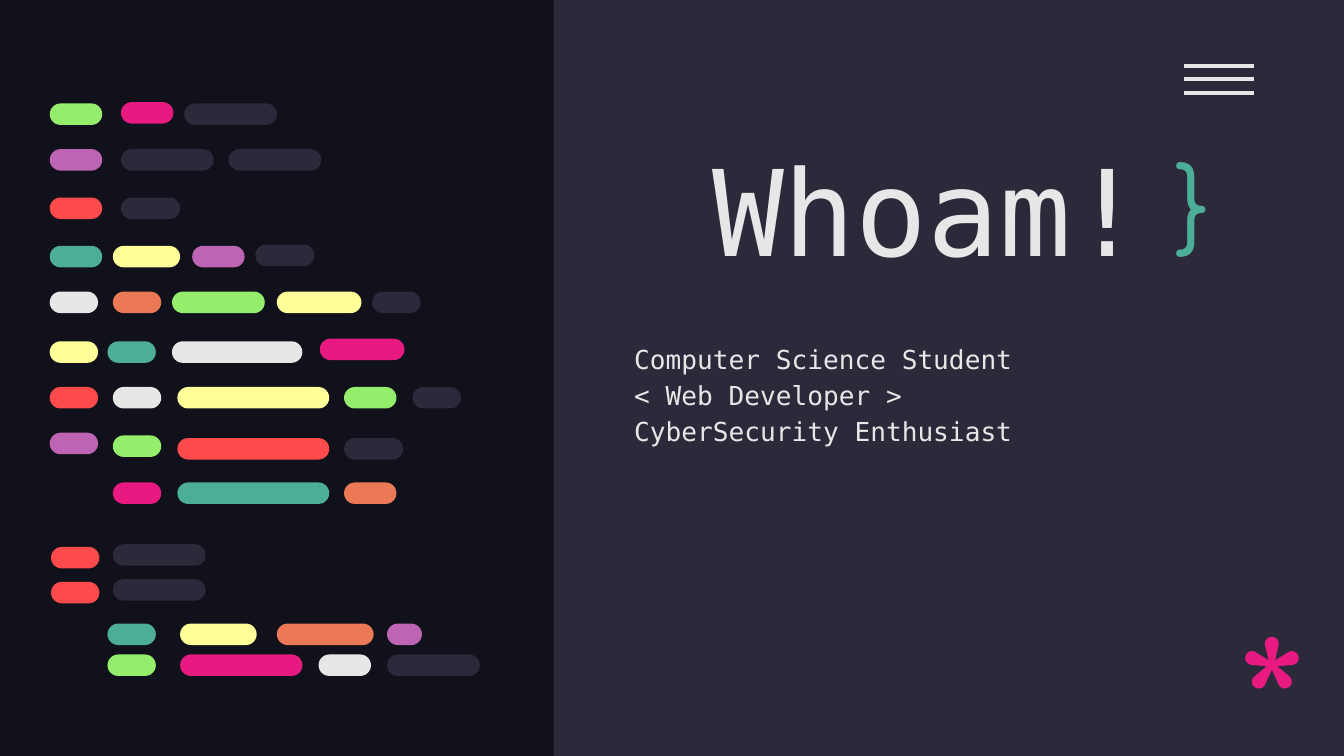
"""Build a code-editor themed title slide."""
from pptx import Presentation
from pptx.dml.color import RGBColor
from pptx.enum.shapes import MSO_CONNECTOR as CONN, MSO_SHAPE as SHAPE
from pptx.enum.text import MSO_ANCHOR as ANCHOR
from pptx.oxml.ns import qn
from pptx.util import Inches, Pt
from lxml.etree import SubElement

PANEL, WHITE, GREEN, PINK = "2C293A", "E7E7E7", "94EE6B", "E81A81"
PURPLE, RED, TEAL, YELLOW, ORANGE = "BD64B5", "FD4A4A", "4CAE97", "FFFF99", "EC7955"
MONO, ROUND = "DejaVu Sans Mono", "Comfortaa"


def rgb(color):
    return RGBColor.from_string(color)


def add_text(text, x, y, w, h, size, font, color=WHITE, anchor=ANCHOR.TOP, spacing=None, fill=None):
    sp = s.shapes.add_textbox(Inches(x), Inches(y), Inches(w), Inches(h))
    if fill:
        sp.fill.solid()
        sp.fill.fore_color.rgb = rgb(fill)
    tf = sp.text_frame
    tf.word_wrap = True
    tf.vertical_anchor = anchor
    tf.margin_left = tf.margin_right = tf.margin_top = tf.margin_bottom = Inches(0.1)
    for i, line in enumerate(text.split("\n")):
        p = tf.add_paragraph() if i else tf.paragraphs[0]
        if spacing:
            p.line_spacing = spacing
        r = p.add_run()
        r.text = line
        r.font.size = Pt(size)
        r.font.name = font
        r.font.color.rgb = rgb(color)


prs = Presentation()
prs.slide_width = Inches(10)
prs.slide_height = Inches(10 * 9 / 16)
s = prs.slides.add_slide(prs.slide_layouts[6])
s.background.fill.solid()
s.background.fill.fore_color.rgb = rgb("10111A")

panel = s.shapes.add_shape(SHAPE.RECTANGLE, Inches(4.12), 0, Inches(5.88), prs.slide_height)
panel.shadow.inherit = False
panel.fill.solid()
panel.fill.fore_color.rgb = rgb(PANEL)
panel.line.fill.background()

menu = s.shapes.add_group_shape()
for i in range(3):
    y = Inches(0.49 + 0.1 * i)
    bar = menu.shapes.add_connector(CONN.STRAIGHT, Inches(8.81), y, Inches(9.33), y)
    bar.line.color.rgb = rgb(WHITE)
    bar.line.width = Pt(2.25)
    SubElement(bar._element.spPr, qn("a:effectLst"))

add_text("Whoam!", 5.2, 0.92, 3.45, 1.27, size=64, font=MONO, anchor=ANCHOR.BOTTOM)
add_text("Computer Science Student\n< Web Developer >\nCyberSecurity Enthusiast",
         4.62, 2.42, 4.6, 1.17, size=14, font=MONO, spacing=1.15, fill=PANEL)
add_text("*", 9.11, 4.35, 0.57, 0.87, size=96, font=ROUND, color=PINK)

code_rows = [
    (0.77, [(0.37, 0.39, GREEN), (1.37, 0.69, PANEL)]),
    (0.76, [(0.9, 0.39, PINK)]),
    (1.11, [(0.37, 0.39, PURPLE), (0.9, 0.69, PANEL), (1.7, 0.69, PANEL)]),
    (1.47, [(0.37, 0.39, RED), (0.9, 0.44, PANEL)]),
    (1.83, [(0.37, 0.39, TEAL), (0.84, 0.5, YELLOW), (1.43, 0.39, PURPLE)]),
    (1.82, [(1.9, 0.44, PANEL)]),
    (2.17, [(0.37, 0.36, WHITE), (0.84, 0.36, ORANGE), (1.28, 0.69, GREEN),
            (2.06, 0.63, YELLOW), (2.77, 0.36, PANEL)]),
    (2.54, [(0.37, 0.36, YELLOW), (0.8, 0.36, TEAL), (1.28, 0.97, WHITE)]),
    (2.52, [(2.38, 0.63, PINK)]),
    (2.88, [(0.37, 0.36, RED), (0.84, 0.36, WHITE), (1.32, 1.13, YELLOW),
            (2.56, 0.39, GREEN), (3.07, 0.36, PANEL)]),
    (3.22, [(0.37, 0.36, PURPLE)]),
    (3.24, [(0.84, 0.36, GREEN)]),
    (3.26, [(1.32, 1.13, RED), (2.56, 0.44, PANEL)]),
    (3.59, [(0.84, 0.36, PINK), (1.32, 1.13, TEAL), (2.56, 0.39, ORANGE)]),
    (4.07, [(0.38, 0.36, RED)]),
    (4.05, [(0.84, 0.69, PANEL)]),
    (4.33, [(0.38, 0.36, RED)]),
    (4.31, [(0.84, 0.69, PANEL)]),
    (4.64, [(0.8, 0.36, TEAL), (1.34, 0.57, YELLOW), (2.06, 0.72, ORANGE), (2.88, 0.26, PURPLE)]),
    (4.87, [(0.8, 0.36, GREEN), (1.34, 0.91, PINK), (2.37, 0.39, WHITE), (2.88, 0.69, PANEL)]),
]
code = s.shapes.add_group_shape()
for y, pills in code_rows:
    for x, w, color in pills:
        pill = code.shapes.add_shape(SHAPE.ROUNDED_RECTANGLE, Inches(x), Inches(y), Inches(w), Inches(0.16))
        pill.adjustments[0] = 0.5
        pill.shadow.inherit = False
        pill.fill.solid()
        pill.fill.fore_color.rgb = rgb(color)
        pill.line.fill.background()

add_text("}", 8.65, 0.96, 0.57, 0.95, size=50, font=ROUND, color=TEAL)

prs.save("out.pptx")
